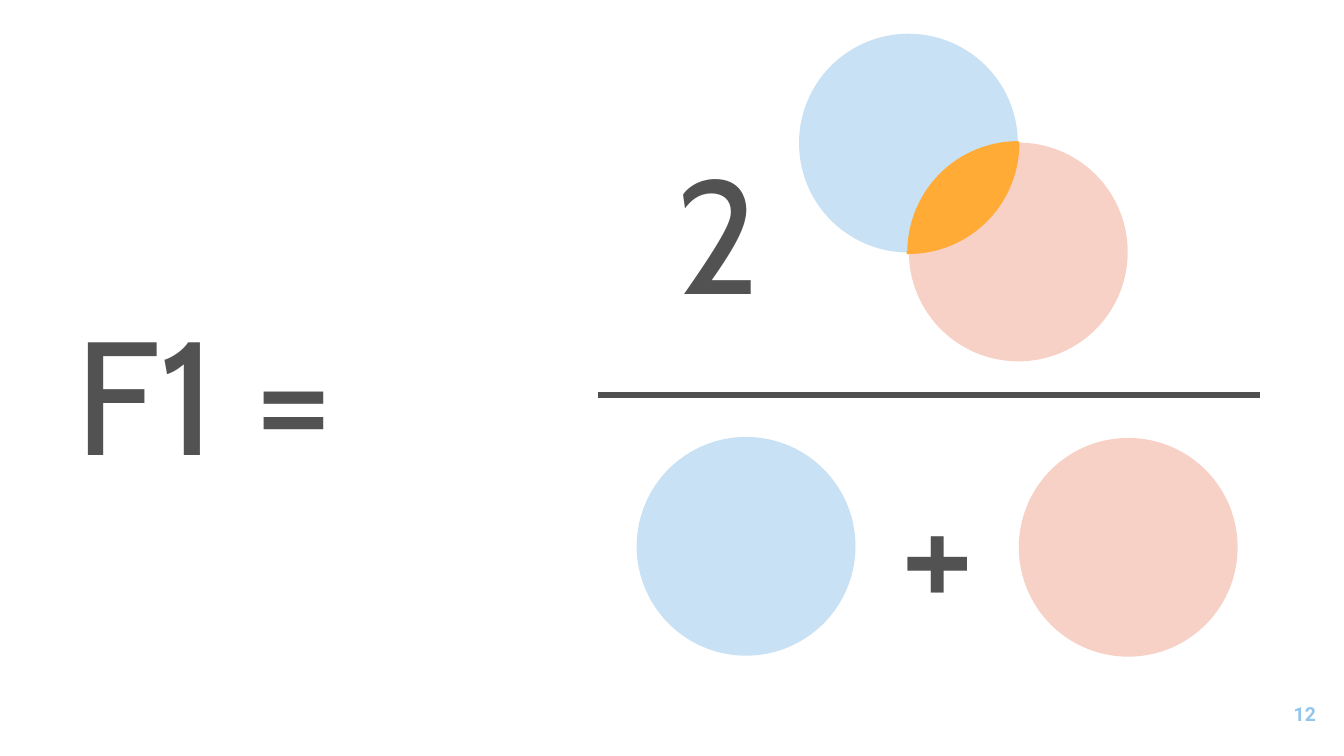
from lxml import etree
from pptx import Presentation
from pptx import util as u
from pptx.dml.color import RGBColor
from pptx.enum import shapes, text
from pptx.oxml import ns

BLUE, RED, ORANGE, RULE, INK = "92C5EB", "F0A38E", "FFAB36", "505050", "525252"
DIAMETER = 2.17
OVAL = shapes.MSO_SHAPE.OVAL
ARC = shapes.MSO_SHAPE.ARC
CHORD = shapes.MSO_SHAPE.CHORD


def paint(color_format, value):
    """Set a colour format from a hex string."""
    color_format.rgb = RGBColor.from_string(value)


class SlideBuilder:
    """Hold the text style and the current slide."""

    def __init__(self, presentation):
        """Add a title-only slide."""
        self.slide = presentation.slides.add_slide(presentation.slide_layouts[5])
        self.symbol = {"size": u.Pt(115), "name": "Cabin", "bold": False}

    def set_text(self, shape, wording, font, color, align, frame_format):
        """Put one formatted line of text in a shape."""
        frame = shape.text_frame
        for name, value in {"word_wrap": True, **frame_format}.items():
            setattr(frame, name, value)
        paragraph = frame.paragraphs[0]
        paragraph.alignment = align
        run = paragraph.add_run()
        run.text = wording
        for name, value in font.items():
            setattr(run.font, name, value)
        paint(run.font.color, color)

    def title(self, wording, left, top, width, height):
        """Place and fill the title placeholder."""
        shape = self.slide.shapes.title
        box = {"left": left, "top": top, "width": width, "height": height}
        for name, value in box.items():
            setattr(shape, name, u.Inches(value))
        frame = {"vertical_anchor": text.MSO_ANCHOR.TOP,
                 "auto_size": text.MSO_AUTO_SIZE.SHAPE_TO_FIT_TEXT}
        self.set_text(shape, wording, self.symbol, INK, text.PP_ALIGN.LEFT, frame)

    def operator(self, wording, left, top):
        """Add a large centred symbol."""
        box = [u.Inches(value) for value in (left, top, 1.08, 2.04)]
        frame = {"auto_size": text.MSO_AUTO_SIZE.SHAPE_TO_FIT_TEXT}
        self.set_text(self.slide.shapes.add_textbox(*box), wording, self.symbol, INK,
                      text.PP_ALIGN.CENTER, frame)

    def page_number(self, wording):
        """Add the page number in the lower right corner."""
        box = [u.Inches(value) for value in (12.35, 6.8, 0.8, 0.57)]
        font = {"size": u.Pt(13.8), "name": "Roboto", "bold": True}
        frame = {"vertical_anchor": text.MSO_ANCHOR.MIDDLE,
                 "margin_top": u.Inches(0.1), "margin_bottom": u.Inches(0.1)}
        self.set_text(self.slide.shapes.add_textbox(*box), wording, font, BLUE,
                      text.PP_ALIGN.RIGHT, frame)

    def round_shape(self, kind, center, rotation=0, adjustments=()):
        """Add a shape framed by a circle of the common diameter."""
        left, top = (u.Inches(value - DIAMETER / 2) for value in center)
        size = u.Inches(DIAMETER)
        shape = self.slide.shapes.add_shape(kind, left, top, size, size)
        shape.shadow.inherit = False
        shape.rotation = rotation
        for index, value in enumerate(adjustments):
            shape.adjustments[index] = value
        return shape

    def circle(self, center, color):
        """Add a half-transparent circle."""
        shape = self.round_shape(OVAL, center)
        shape.line.fill.background()
        shape.fill.solid()
        paint(shape.fill.fore_color, color)
        color_element = shape._element.spPr.find(".//" + ns.qn("a:srgbClr"))
        etree.SubElement(color_element, ns.qn("a:alpha"), val="50000")

    def arc(self, center, rotation, adjustments=()):
        """Add an orange quarter arc."""
        shape = self.round_shape(ARC, center, rotation, adjustments)
        shape.fill.background()
        shape.line.width = u.Pt(2.25)
        paint(shape.line.color, ORANGE)

    def chord(self, center, rotation):
        """Add an orange quarter chord."""
        shape = self.round_shape(CHORD, center, rotation, (107.552, 162))
        shape.line.fill.background()
        shape.fill.solid()
        paint(shape.fill.fore_color, ORANGE)

    def fraction_bar(self, left, right, top):
        """Add the horizontal fraction bar."""
        points = [u.Inches(value) for value in (left, top, right, top)]
        bar = self.slide.shapes.add_connector(shapes.MSO_CONNECTOR.STRAIGHT, *points)
        bar.line.width = u.Pt(4.5)
        paint(bar.line.color, RULE)
        etree.SubElement(bar._element.spPr, ns.qn("a:effectLst"))


def main():
    """Build the F1 score slide."""
    presentation = Presentation()
    presentation.slide_width = u.Inches(13.33)
    presentation.slide_height = u.Inches(7.5)
    builder = SlideBuilder(presentation)
    builder.page_number("12")

    blue_center, red_center = (9.01, 1.42), (10.1, 2.5)
    builder.circle(blue_center, BLUE)
    builder.circle(red_center, RED)
    builder.arc(red_center, 270)
    builder.arc(blue_center, 90, (161.62, 0.58))
    builder.chord(red_center, 0)
    builder.chord(blue_center, 180)
    builder.operator("2", 6.58, 1.28)

    builder.fraction_bar(5.93, 12.5, 3.92)
    builder.circle((7.4, 5.42), BLUE)
    builder.operator("+", 8.76, 4.4)
    builder.circle((11.19, 5.43), RED)
    builder.title("F1 =", 0.65, 2.87, 5.28, 2.04)
    presentation.save("out.pptx")


if __name__ == "__main__":
    main()
